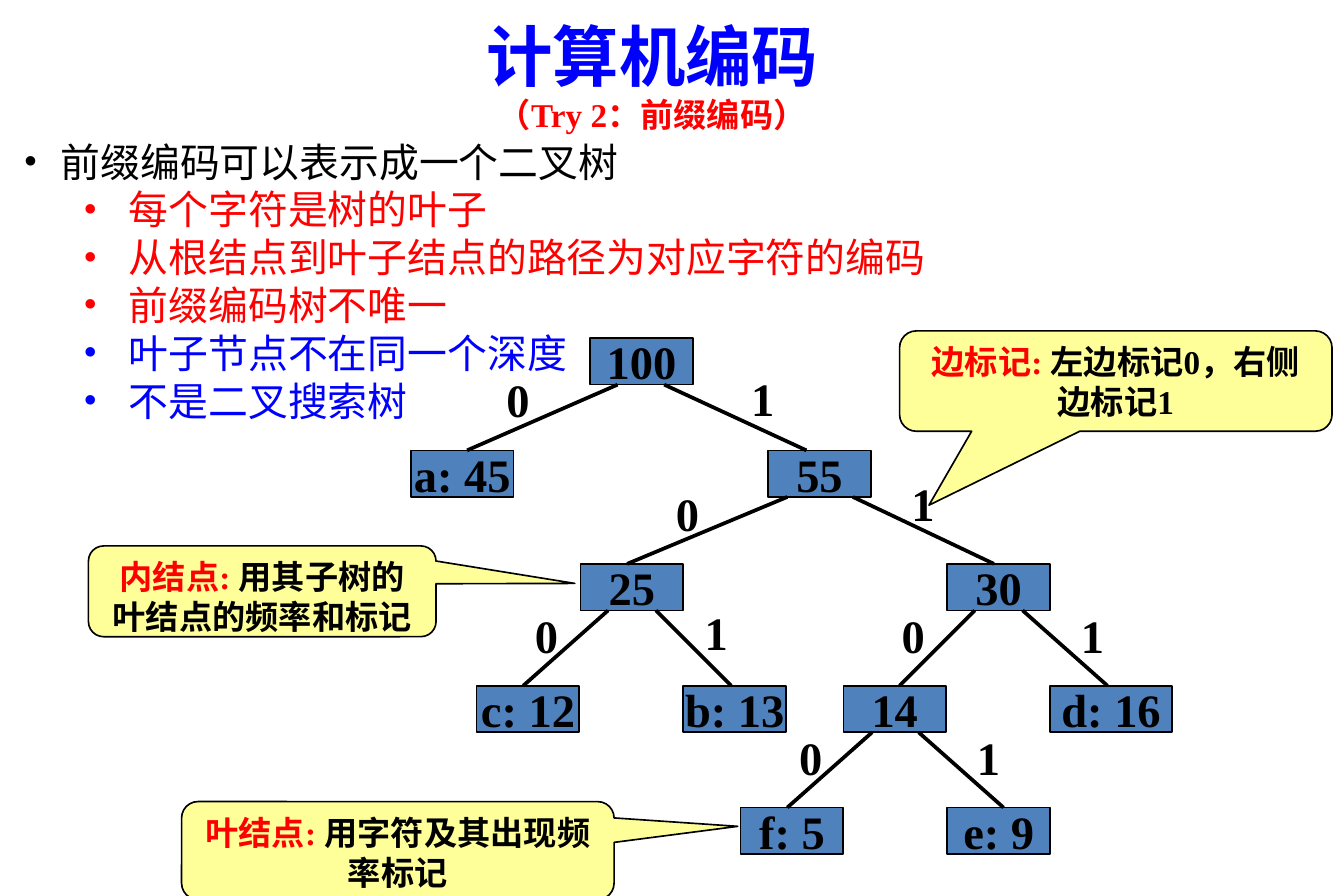
from pptx import Presentation
from pptx.dml.color import RGBColor
from pptx.enum import shapes, text
from pptx.oxml import ns, xmlchemy
from pptx.util import Inches, Pt

COLORS = {"black": "000000", "red": "FF0000", "blue": "0000FF",
          "node": "4F81BD", "callout": "FFFF99"}
ALIGN = text.PP_ALIGN
ANCHOR = text.MSO_ANCHOR
NODE_WIDTH, NODE_HEIGHT = 0.86, 0.39
LEVEL_TOPS = [0, 0.94, 1.89, 2.91, 3.93]

# text, level, left, width
NODES = [
    ("100", 0, 1.5, NODE_WIDTH),
    ("a: 45", 1, 0, NODE_WIDTH), ("55", 1, 2.99, NODE_WIDTH),
    ("30", 2, 4.49, NODE_WIDTH), ("25", 2, 1.42, NODE_WIDTH),
    ("c: 12", 3, 0.55, NODE_WIDTH), ("b: 13", 3, 2.28, NODE_WIDTH),
    ("14", 3, 3.62, NODE_WIDTH), ("d: 16", 3, 5.35, 1.02),
    ("e: 9", 4, 4.49, NODE_WIDTH), ("f: 5", 4, 2.76, NODE_WIDTH),
]
# parent level, start x, end x, bit, label left, label top
EDGES = [
    (0, 1.73, 0.47, "0", 0.7, 0.23), (0, 2.12, 3.31, "1", 2.75, 0.22),
    (1, 3.15, 1.81, "0", 2.12, 1.18), (1, 3.7, 4.88, "1", 4.09, 1.1),
    (2, 1.65, 0.94, "0", 0.94, 2.2), (2, 2.05, 2.68, "1", 2.36, 2.18),
    (2, 4.72, 4.09, "0", 4.01, 2.2), (2, 5.12, 5.83, "1", 5.51, 2.2),
    (3, 3.86, 3.15, "0", 3.15, 3.22), (3, 4.25, 4.96, "1", 4.64, 3.22),
]
CALLOUTS = [
    ((1.52, 6.71, 3.62, 0.82), (0.786, -0.247, 0.167),
     "叶结点: ", "用字符及其出现频率标记"),
    ((0.74, 4.57, 2.91, 0.76), (0.899, -0.087, 0.167),
     "内结点: ", "用其子树的叶结点的频率和标记"),
    ((7.53, 2.77, 3.62, 0.84), (-0.432, 1.237, 0.167),
     "边标记: ", "左边标记0，右侧边标记1"),
]
BULLETS = [
    ("前缀编码可以表示成一个二叉树", 0, "black"),
    ("每个字符是树的叶子", 1, "red"),
    ("从根结点到叶子结点的路径为对应字符的编码", 1, "red"),
    ("前缀编码树不唯一", 1, "red"),
    ("叶子节点不在同一个深度", 1, "blue"),
    ("不是二叉搜索树", 1, "blue"),
]
INDENTS = [(0.31, -0.31), (0.88, -0.38)]


def color(name):
    return RGBColor.from_string(COLORS[name])


def write(paragraph, words, size=28, fill="black", bold=True, align=ALIGN.CENTER):
    paragraph.alignment = align
    run = paragraph.add_run()
    run.text = words
    run.font.name = "Times New Roman"
    run.font.size = Pt(size)
    run.font.bold = bold
    run.font.color.rgb = color(fill)


def add_box(slide, box, kind=None, fill=None, wrap=True, anchor=ANCHOR.TOP):
    """Add a text box, or a filled and outlined shape when a kind is given."""
    place = [Inches(value) for value in box]
    if kind is None:
        shape = slide.shapes.add_textbox(*place)
    else:
        shape = slide.shapes.add_shape(kind, *place)
        shape.shadow.inherit = False
        shape.fill.solid()
        shape.fill.fore_color.rgb = color(fill)
        shape.line.color.rgb = color("black")
        shape.line.width = Pt(1)
    shape.text_frame.word_wrap = wrap
    shape.text_frame.vertical_anchor = anchor
    return shape


def add_callout(slide, box, adjustments, label, body):
    shape = add_box(slide, box, shapes.MSO_SHAPE.ROUNDED_RECTANGULAR_CALLOUT, "callout")
    for index, value in enumerate(adjustments):
        shape.adjustments[index] = value
    paragraph = shape.text_frame.paragraphs[0]
    write(paragraph, label, size=20, fill="red")
    write(paragraph, body, size=20)


def add_edge(slide, start_x, start_y, end_x, end_y):
    line = slide.shapes.add_connector(
        shapes.MSO_CONNECTOR.STRAIGHT,
        *[Inches(value) for value in (start_x, start_y, end_x, end_y)])
    line.line.color.rgb = color("black")
    line.line.width = Pt(2.25)
    line._element.spPr.append(xmlchemy.OxmlElement("a:effectLst"))


def add_tree(slide, left, top):
    for words, level, x, width in NODES:
        node = add_box(slide, (left + x, top + LEVEL_TOPS[level], width, NODE_HEIGHT),
                       shapes.MSO_SHAPE.RECTANGLE, "node", False, ANCHOR.MIDDLE)
        write(node.text_frame.paragraphs[0], words)
    for level, start, end, bit, label_x, label_y in EDGES:
        add_edge(slide, left + start, top + LEVEL_TOPS[level] + NODE_HEIGHT,
                 left + end, top + LEVEL_TOPS[level + 1])
        label = add_box(slide, (left + label_x, top + label_y, 0.4, 0.57), wrap=False)
        write(label.text_frame.paragraphs[0], bit, align=ALIGN.LEFT)


def add_bullets(slide, box):
    frame = add_box(slide, box, wrap=False).text_frame
    for index, (words, level, fill) in enumerate(BULLETS):
        paragraph = frame.add_paragraph() if index else frame.paragraphs[0]
        paragraph.level = level
        properties = paragraph._p.get_or_add_pPr()
        margin, indent = INDENTS[level]
        properties.set("marL", str(Inches(margin)))
        properties.set("indent", str(Inches(indent)))
        font = xmlchemy.OxmlElement("a:buFont")
        font.set("typeface", "Times New Roman")
        bullet = xmlchemy.OxmlElement("a:buChar")
        bullet.set("char", "•")
        properties.extend([font, bullet])
        write(paragraph, words, 24, fill, False, ALIGN.JUSTIFY)


def add_title(slide, box):
    frame = add_box(slide, box, anchor=ANCHOR.MIDDLE).text_frame
    write(frame.paragraphs[0], "计算机编码", 40, "blue")
    write(frame.add_paragraph(), "（Try 2：前缀编码）", 20, "red")


def main():
    presentation = Presentation()
    presentation.slide_width = Inches(11.25)
    presentation.slide_height = Inches(7.5)
    slide = presentation.slides.add_slide(presentation.slide_layouts[6])
    for callout in CALLOUTS:
        add_callout(slide, *callout)
    add_tree(slide, 3.44, 2.83)
    add_bullets(slide, (0.1, 1.1, 7.82, 2.52))
    add_title(slide, (0.4, 0, 10.12, 1.25))
    presentation.save("out.pptx")


if __name__ == "__main__":
    main()
